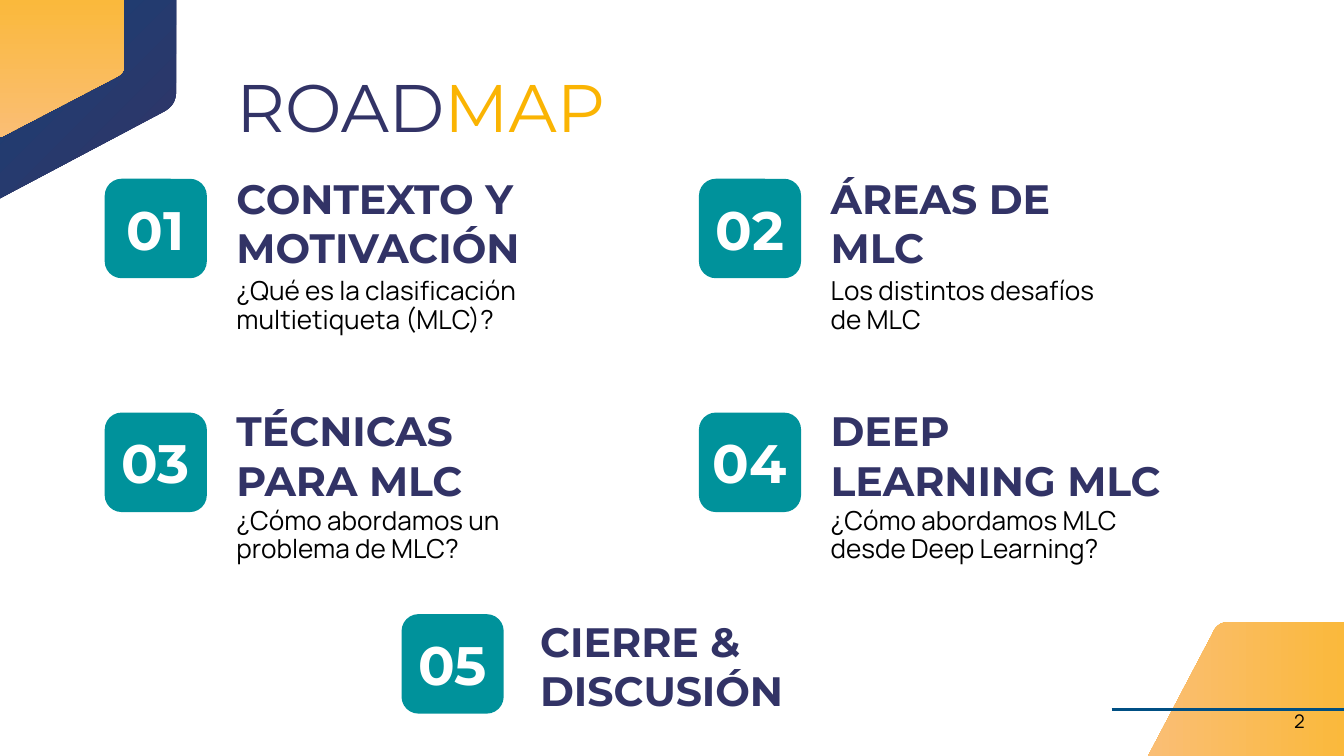
import pptx
import pptx.util
import pptx.dml.color
import pptx.enum.shapes
import pptx.enum.text
from dataclasses import dataclass
from lxml import etree

Cm = pptx.util.Cm
Anchor = pptx.enum.text.MSO_ANCHOR
Align = pptx.enum.text.PP_ALIGN


@dataclass(frozen=True)
class Theme:
    navy: str = "323366"
    blue: str = "194175"
    line: str = "004F83"
    teal: str = "00929B"
    gold: str = "FAB403"
    amber: str = "FAB93C"
    peach: str = "FABE75"
    white: str = "FFFFFF"
    black: str = "000000"
    heading_font: str = "Montserrat"
    body_font: str = "Manrope"
    title_size: int = 36
    number_size: int = 29
    heading_size: int = 22
    body_size: int = 14
    page_size: int = 10


THEME = Theme()
TILE_WIDTH, TILE_HEIGHT = 1.93, 1.88
INSET = 0.25


def rgb(value):
    return pptx.dml.color.RGBColor.from_string(value)


def set_values(target, values):
    for name, value in values.items():
        setattr(target, name, value)


def format_run(run, font, size, color, bold=False):
    values = {"name": font, "size": pptx.util.Pt(size), "bold": bold}
    set_values(run.font, values)
    run.font.color.rgb = rgb(color)


def set_frame(frame, inset_x, inset_y, anchor=Anchor.TOP, wrap=True):
    set_values(frame, {
        "margin_left": Cm(inset_x), "margin_right": Cm(inset_x),
        "margin_top": Cm(inset_y), "margin_bottom": Cm(inset_y),
        "vertical_anchor": anchor, "word_wrap": wrap,
    })


def write(frame, text, font, size, color, bold=False, **paragraph_values):
    frame.text = text
    for paragraph in frame.paragraphs:
        set_values(paragraph, paragraph_values)
        for run in paragraph.runs:
            format_run(run, font, size, color, bold)


def add_box(slide, left, top, width, height):
    box = slide.shapes.add_textbox(Cm(left), Cm(top), Cm(width), Cm(height))
    return box.text_frame


def round_corner(start, control, end, steps=8):
    """Points of a quadratic curve from start to end."""
    points = []
    for step in range(steps + 1):
        t = step / steps
        points.append(tuple(
            (1 - t) ** 2 * a + 2 * t * (1 - t) * b + t ** 2 * c
            for a, b, c in zip(start, control, end)))
    return points


def add_panel(slide, points, colors, angle):
    corners = [(Cm(x), Cm(y)) for x, y in points]
    builder = slide.shapes.build_freeform(*corners[0])
    builder.add_line_segments(corners[1:], close=True)
    shape = builder.convert_to_shape()
    shape.shadow.inherit = False
    shape.line.fill.background()
    shape.fill.gradient()
    shape.fill.gradient_angle = angle
    for stop, color in zip(shape.fill.gradient_stops, colors):
        stop.color.rgb = rgb(color)


def add_rule(slide, left, right, y):
    rule = slide.shapes.add_connector(
        pptx.enum.shapes.MSO_CONNECTOR.STRAIGHT, Cm(left), Cm(y), Cm(right), Cm(y))
    rule.line.color.rgb = rgb(THEME.line)
    rule.line.width = pptx.util.Pt(1.5)
    etree.SubElement(rule._element.spPr, pptx.oxml.ns.qn("a:effectLst"))


def add_tile(slide, number, left, top):
    tile = slide.shapes.add_shape(
        pptx.enum.shapes.MSO_SHAPE.ROUNDED_RECTANGLE,
        Cm(left), Cm(top), Cm(TILE_WIDTH), Cm(TILE_HEIGHT))
    tile.adjustments[0] = 0.17
    tile.shadow.inherit = False
    tile.fill.solid()
    tile.fill.fore_color.rgb = rgb(THEME.teal)
    tile.line.fill.background()
    set_frame(tile.text_frame, 0, 0, Anchor.MIDDLE)
    write(tile.text_frame, f"{number:02d}", THEME.heading_font, THEME.number_size,
          THEME.white, True, alignment=Align.CENTER)


def add_heading(slide, text, left, top, width):
    frame = add_box(slide, left, top, width, 1.47)
    set_frame(frame, INSET, INSET, Anchor.MIDDLE)
    write(frame, text, THEME.heading_font, THEME.heading_size, THEME.navy, True)


def add_body(slide, text, left, top, width):
    frame = add_box(slide, left, top, width, 1.45)
    set_frame(frame, INSET, 0.13)
    write(frame, text, THEME.body_font, THEME.body_size, THEME.black, line_spacing=0.9)


def add_decoration(slide):
    add_panel(slide, [(25.4, 14.29), (25.4, 11.76),
                      *round_corner((23.22, 11.76), (23, 11.76), (22.91, 11.99)),
                      (21.7, 14.29)], (THEME.amber, THEME.peach), 180)
    add_panel(slide, [(0, 0), (3.33, 0),
                      *round_corner((3.33, 1.73), (3.33, 1.99), (3.1, 2.11)),
                      (0, 3.75)], (THEME.navy, THEME.blue), 135)
    add_panel(slide, [(0, 0), (2.35, 0),
                      *round_corner((2.35, 1.24), (2.35, 1.38), (2.21, 1.45)),
                      (0, 2.6)], (THEME.amber, THEME.peach), 270)
    add_rule(slide, 21.01, 25.4, 13.41)


def add_title(slide):
    frame = add_box(slide, 4.22, 0.99, 19.2, 1.6)
    set_frame(frame, INSET, INSET)
    for text, color in (("ROAD", THEME.navy), ("MAP", THEME.gold)):
        run = frame.paragraphs[0].add_run()
        run.text = text
        format_run(run, THEME.heading_font, THEME.title_size, color)


def add_page_number(slide):
    frame = add_box(slide, 24.21, 13.28, 0.71, 0.69)
    set_frame(frame, INSET, 0.13, wrap=False)
    write(frame, "2", THEME.body_font, THEME.page_size, THEME.black)


def main():
    presentation = pptx.Presentation()
    set_values(presentation, {"slide_width": Cm(25.4), "slide_height": Cm(14.29)})
    slide = presentation.slides.add_slide(presentation.slide_layouts[6])

    add_decoration(slide)
    add_title(slide)

    # Four topics in a grid: tops of tile, heading and body for each row
    columns = (1.98, 13.21)
    rows = ((3.38, 3.48, 5.13), (7.8, 7.87, 9.47))
    topics = (
        ("CONTEXTO Y MOTIVACIÓN", 6.48,
         "¿Qué es la clasificación\nmultietiqueta (MLC)?", 5.87),
        ("ÁREAS DE\vMLC", 7.98, "Los distintos desafíos de MLC", 5.74),
        ("TÉCNICAS PARA MLC", 6.48, "¿Cómo abordamos un problema de MLC?", 5.74),
        ("DEEP LEARNING MLC", 7.01, "¿Cómo abordamos MLC desde Deep Learning?", 6.43),
    )
    for index, (heading, heading_width, body, body_width) in enumerate(topics):
        left = columns[index % 2]
        tile_top, heading_top, body_top = rows[index // 2]
        add_tile(slide, index + 1, left, tile_top)
        add_heading(slide, heading, left + 2.24, heading_top, heading_width)
        add_body(slide, body, left + 2.24, body_top, body_width)

    # Closing topic
    add_tile(slide, 5, 7.59, 11.61)
    add_heading(slide, "CIERRE & DISCUSIÓN", 9.96, 11.84, 7.01)

    add_page_number(slide)
    presentation.save("out.pptx")


if __name__ == "__main__":
    main()
